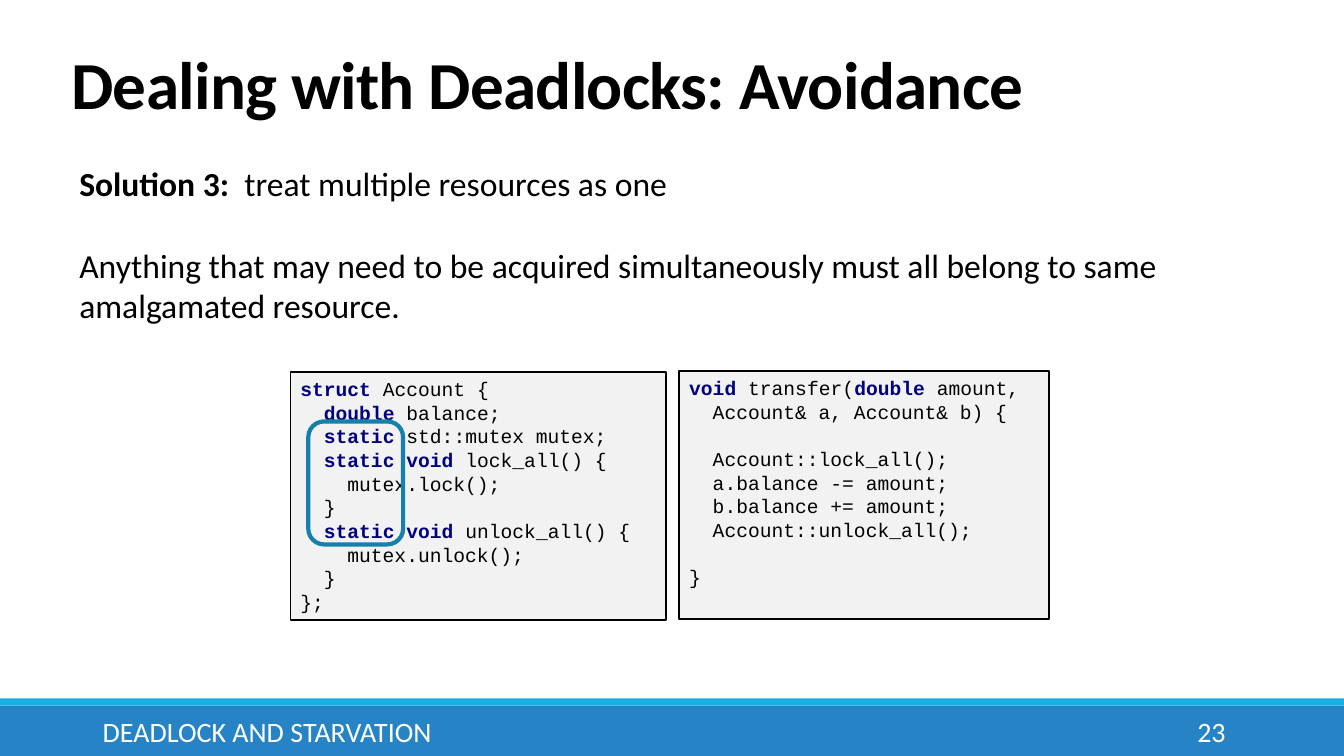
import dataclasses

import pptx
import pptx.dml.color
import pptx.enum.shapes
import pptx.enum.text
import pptx.util

Cm = pptx.util.Cm
Pt = pptx.util.Pt
Shape = pptx.enum.shapes.MSO_SHAPE
Align = pptx.enum.text.PP_ALIGN
Anchor = pptx.enum.text.MSO_ANCHOR


@dataclasses.dataclass(frozen=True)
class Theme:
    """Colours, fonts and type sizes of the slide."""
    text: str = "000000"
    white: str = "FFFFFF"
    footer: str = "2683C6"
    stripe: str = "1CADE4"
    panel: str = "F2F2F2"
    keyword: str = "000080"
    highlight: str = "1580A9"
    sans: str = "Calibri"
    mono: str = "Courier New"
    title_size: int = 48
    body_size: int = 24
    footer_size: int = 20
    code_size: int = 14
    body_gap: float = 29.3
    code_pitch: float = 16.9


THEME = Theme()
KEYWORDS = {"struct", "double", "static", "void"}

ACCOUNT_CODE = """struct Account {
  double balance;
  static std::mutex mutex;
  static void lock_all() {
    mutex.lock();
  }
  static void unlock_all() {
    mutex.unlock();
  }
};"""

TRANSFER_CODE = """void transfer(double amount,
  Account& a, Account& b) {

  Account::lock_all();
  a.balance -= amount;
  b.balance += amount;
  Account::unlock_all();

}"""


def rgb(colour):
    """Turn a hex string into a colour value."""
    return pptx.dml.color.RGBColor.from_string(colour)


def style(span, size, colour=THEME.text, bold=False, font=THEME.sans):
    """Format one run of text."""
    span.font.name = font
    span.font.size = Pt(size)
    span.font.bold = bold
    span.font.color.rgb = rgb(colour)


def add_box(page, kind, place, fill=None, line=None, weight=1.25):
    """Draw a flat preset shape at left, top, width, height in centimetres."""
    box = page.shapes.add_shape(kind, *map(Cm, place))
    box.shadow.inherit = False
    if fill:
        box.fill.solid()
        box.fill.fore_color.rgb = rgb(fill)
    else:
        box.fill.background()
    if line:
        box.line.color.rgb = rgb(line)
        box.line.width = Pt(weight)
    else:
        box.line.fill.background()
    return box


def add_text(page, place, text, size, colour=THEME.text, bold=False,
             anchor=Anchor.TOP, align=Align.LEFT):
    """Add a wrapped text box, one paragraph for each line of text."""
    box = page.shapes.add_textbox(*map(Cm, place))
    frame = box.text_frame
    frame.word_wrap = True
    frame.vertical_anchor = anchor
    frame.text = text
    for para in frame.paragraphs:
        para.alignment = align
        for span in para.runs:
            style(span, size, colour, bold)
    return frame


def add_title(page, text):
    """Add the slightly condensed slide title."""
    frame = add_text(page, (1.55, 1.07, 27.94, 2.16), text, THEME.title_size,
                     bold=True, anchor=Anchor.BOTTOM)
    para = frame.paragraphs[0]
    para.line_spacing = 0.85
    para.runs[0].font._element.set("spc", "-50")


def add_body(page, lead, rest, statement):
    """Add the bold lead with its sentence and the statement below it."""
    frame = add_text(page, (1.75, 3.99, 30.53, 5.38), f"{lead}\n{statement}",
                     THEME.body_size)
    first, second = frame.paragraphs
    first.runs[0].font.bold = True
    span = first.add_run()
    span.text = rest
    style(span, THEME.body_size)
    second.space_before = Pt(THEME.body_gap)


def split_keywords(line):
    """Split a code line into (text, is_keyword) pieces."""
    pieces = [line]
    for word in KEYWORDS:
        pieces = [part for piece in pieces
                  for part in (piece.replace(word, f"\0{word}\0").split("\0")
                               if piece not in KEYWORDS else [piece])]
    return [(piece, piece in KEYWORDS) for piece in pieces if piece]


def add_code(page, place, code):
    """Add a code panel with bold keywords; empty lines become spacing."""
    box = add_box(page, Shape.RECTANGLE, place, THEME.panel, THEME.text)
    frame = box.text_frame
    frame.word_wrap = True
    frame.vertical_anchor = Anchor.TOP
    lines = code.split("\n")
    frame.text = "\n".join(line for line in lines if line)
    after_gap = [not before for before, line in zip([" "] + lines, lines) if line]
    for para, gap in zip(frame.paragraphs, after_gap):
        pieces = split_keywords(para.text)
        para.clear()
        para.alignment = Align.LEFT
        para.line_spacing = Pt(THEME.code_pitch)
        para.space_before = Pt(THEME.code_pitch if gap else 0)
        for text, is_keyword in pieces:
            span = para.add_run()
            span.text = text
            style(span, THEME.code_size,
                  THEME.keyword if is_keyword else THEME.text,
                  is_keyword, THEME.mono)


def add_footer(page, text, number):
    """Add the footer band with its stripe, text and page number."""
    add_box(page, Shape.RECTANGLE, (0, 17.78, 33.87, 1.27), THEME.footer)
    add_box(page, Shape.RECTANGLE, (0, 17.6, 33.87, 0.18), THEME.stripe)
    for label, left, width, align in ((text, 2.34, 21.31, Align.LEFT),
                                      (number, 27.51, 3.63, Align.RIGHT)):
        add_text(page, (left, 17.93, width, 1.02), label, THEME.footer_size,
                 THEME.white, anchor=Anchor.MIDDLE, align=align)


def main():
    """Build the slide and save it."""
    deck = pptx.Presentation()
    deck.slide_width, deck.slide_height = Cm(33.87), Cm(19.05)
    page = deck.slides.add_slide(deck.slide_layouts[6])
    add_footer(page, "DEADLOCK AND STARVATION", "23")
    add_title(page, "Dealing with Deadlocks: Avoidance")
    add_body(page, "Solution 3:", "  treat multiple resources as one",
             "Anything that may need to be acquired simultaneously must all "
             "belong to same amalgamated resource.")
    add_code(page, (7.32, 9.37, 9.47, 6.25), ACCOUNT_CODE)
    add_code(page, (17.12, 9.35, 9.32, 6.25), TRANSFER_CODE)
    add_box(page, Shape.ROUNDED_RECTANGLE, (7.77, 10.62, 2.39, 3.1),
            line=THEME.highlight, weight=3)
    deck.save("out.pptx")


if __name__ == "__main__":
    main()
